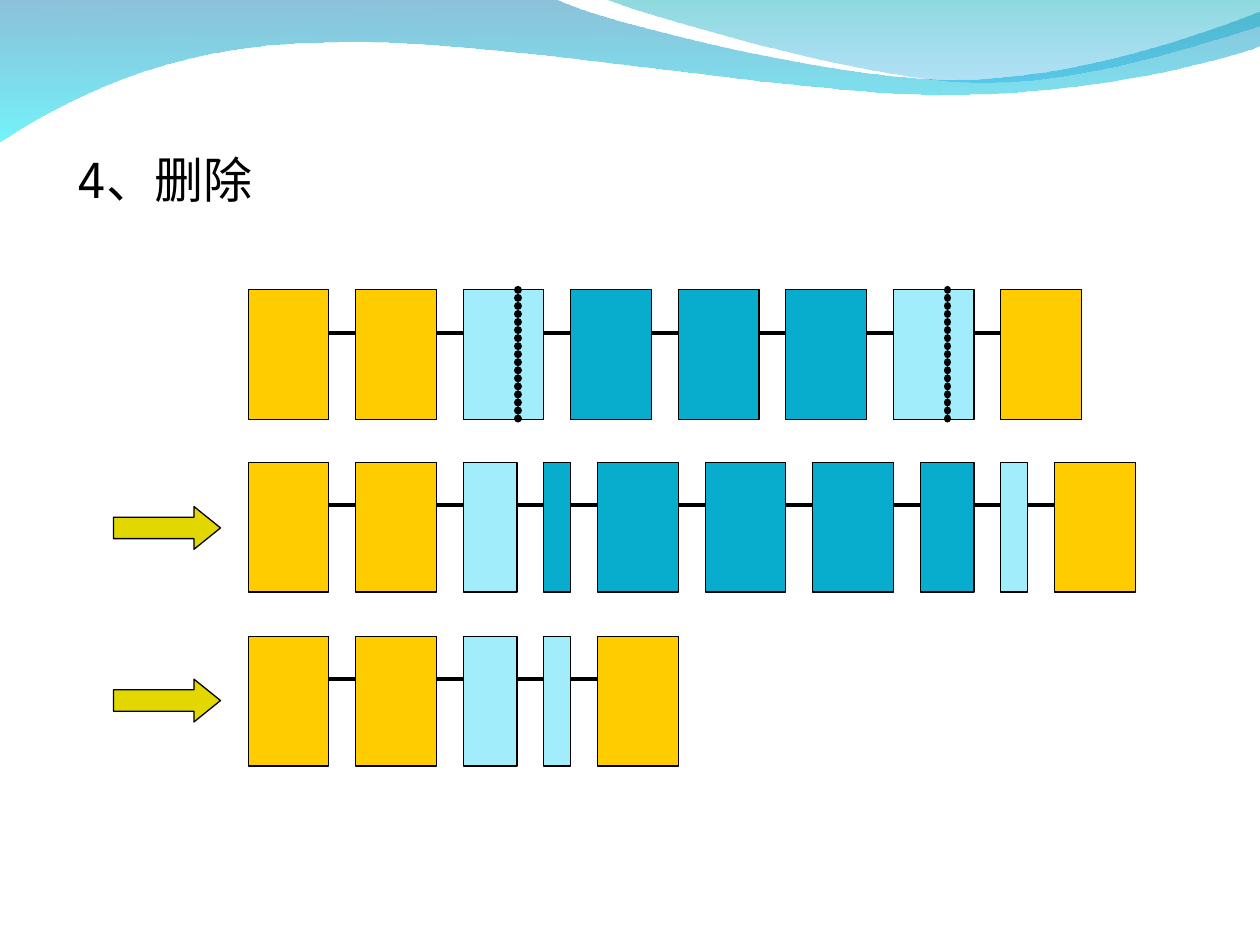
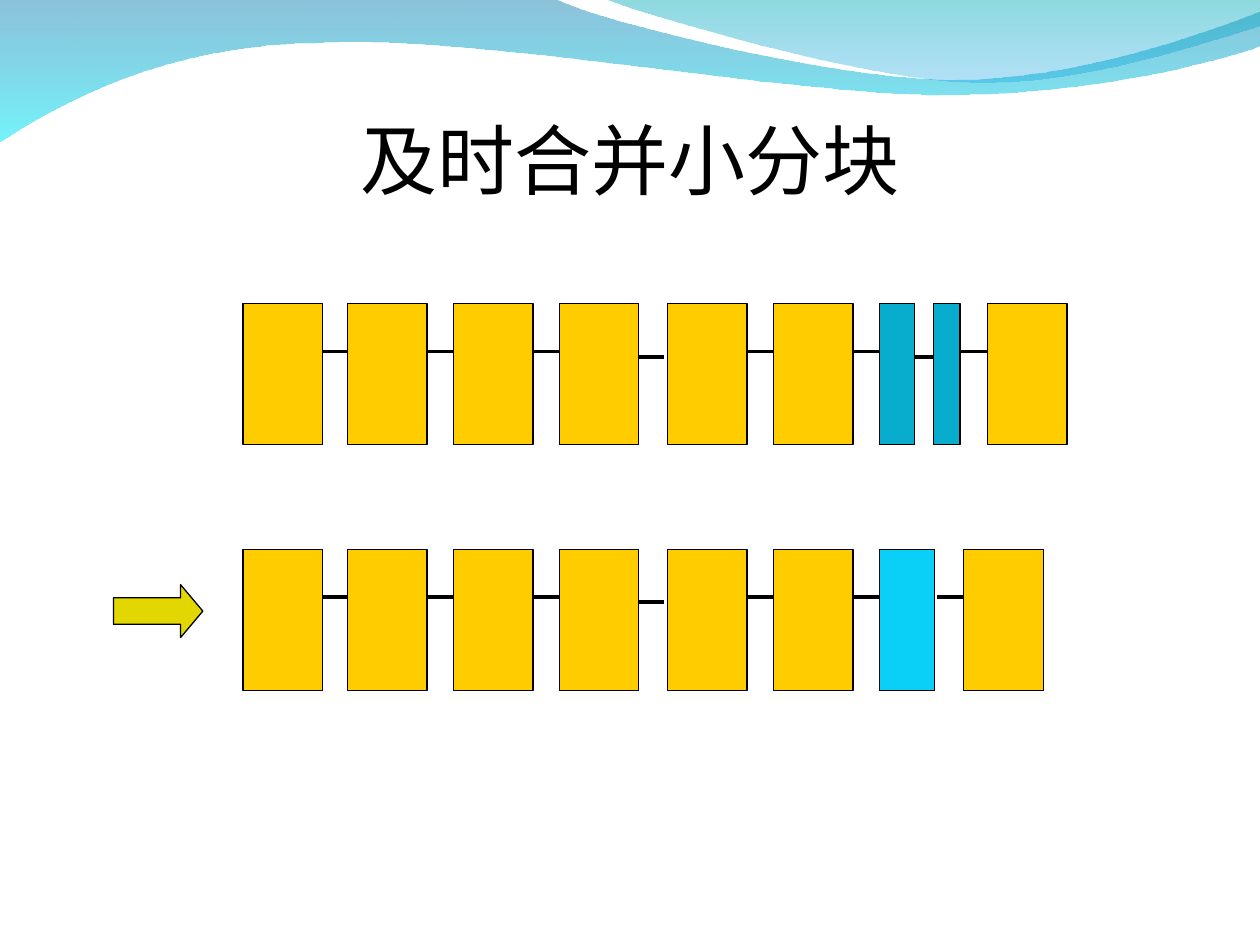
"""Build two slides on deleting and merging blocks in a linked list of blocks."""
import pptx
import pptx.dml.color
import pptx.enum.shapes
import pptx.enum.text
import pptx.oxml
import pptx.oxml.ns
import pptx.util

Inches = pptx.util.Inches
Pt = pptx.util.Pt
PRESET = pptx.enum.shapes.MSO_SHAPE
ALIGN = pptx.enum.text.PP_ALIGN
qn = pptx.oxml.ns.qn
NAMESPACE = pptx.oxml.ns.nsdecls("a")

COLOURS = {
    "ink": "000000",
    "kept": "FFCC00",
    "cut": "08ADCE",
    "partial": "A2EDFC",
    "merged": "0ACFF6",
    "arrow": "E2D700",
    "wave_top": "0079AF",
    "wave_bottom": "00EBF8",
    "crest_top": "00ADB6",
    "crest_bottom": "009BE5",
}
RGB = {name: pptx.dml.color.RGBColor.from_string(code) for name, code in COLOURS.items()}

WAVES = [
    {
        "start": (0, -0.01),
        "segments": [
            (4.4, -0.01),
            (4.76, 0.17, 6.64, 0.63, 7.58, 0.63),
            (8.53, 0.63, 9.58, 0.26, 10, 0.09),
            (10.01, 0.36),
            (9.83, 0.44, 8.7, 0.76, 7.46, 0.75),
            (6.22, 0.75, 3.82, 0.28, 2.57, 0.34),
            (1.29, 0.35, 0.46, 0.83, -0.01, 1.13),
            (0, -0.01),
        ],
        "stops": [("wave_top", 45), ("wave_bottom", 55)],
    },
    {
        "start": (4.79, -0.01),
        "segments": [
            (5.09, 0.11, 6.82, 0.62, 7.69, 0.65),
            (8.56, 0.69, 9.61, 0.32, 10, 0.21),
            (10, 0),
            (4.79, -0.01),
        ],
        "stops": [("crest_top", 45), ("crest_bottom", 30)],
    },
]

UNIT = 0.64 / 3
DELETE_ROWS = [
    (2.3, [("kept", 3), ("kept", 3), ("partial", 3), ("cut", 3), ("cut", 3),
           ("cut", 3), ("partial", 3), ("kept", 3)]),
    (3.67, [("kept", 3), ("kept", 3), ("partial", 2), ("cut", 1), ("cut", 3),
            ("cut", 3), ("cut", 3), ("cut", 2), ("partial", 1), ("kept", 3)]),
    (5.05, [("kept", 3), ("kept", 3), ("partial", 2), ("partial", 1), ("kept", 3)]),
]
rows_by_page = [[], []]
for top, blocks in DELETE_ROWS:
    left, boxes, links = 1.97, [], []
    for colour, units in blocks:
        boxes.append((left, units * UNIT, colour))
        left += (units + 1) * UNIT
        links.append((left - UNIT, 0.34))
    rows_by_page[0].append((top, 1.03, boxes, links[:-1], UNIT))

full_boxes = [(left, 0.63, "kept") for left in (1.93, 2.76, 3.6, 4.44, 5.3, 6.14)]
full_links = [(2.55, 0.38), (3.39, 0.38), (4.23, 0.38), (5.06, 0.42), (5.93, 0.38), (6.77, 0.38)]
MERGE_ROWS = [
    (2.41, [(6.98, 0.28, "cut"), (7.41, 0.21, "cut"), (7.84, 0.63, "kept")],
     [(7.22, 0.42), (7.63, 0.38)]),
    (4.36, [(6.98, 0.44, "merged"), (7.65, 0.63, "kept")], [(7.44, 0.38)]),
]
for top, end_boxes, end_links in MERGE_ROWS:
    rows_by_page[1].append((top, 1.12, full_boxes + end_boxes, full_links + end_links, 0.21))

PAGES = [
    {
        "title": "4、删除",
        "format": {"place": (0.51, 1.14, 3.78, 0.57), "size": 28, "font": "Noto Sans Mono"},
        "rows": rows_by_page[0],
        "arrows": [(0.9, 4.02, 0.85, 0.34, 0.62), (0.9, 5.39, 0.85, 0.34, 0.62)],
        "cuts": [4.11, 7.52],
    },
    {
        "title": "及时合并小分块",
        "format": {"place": (0.59, 0.84, 8.82, 0.84), "size": 44, "font": "Arial",
                   "align": ALIGN.CENTER},
        "rows": rows_by_page[1],
        "arrows": [(0.9, 4.64, 0.71, 0.42, 0.42)],
        "cuts": [],
    },
]


def write_text(page, text, place, size, font, align=ALIGN.LEFT, colour="ink"):
    box = page.shapes.add_textbox(*map(Inches, place))
    frame = box.text_frame
    frame.word_wrap = True
    frame.auto_size = pptx.enum.text.MSO_AUTO_SIZE.SHAPE_TO_FIT_TEXT
    para = frame.paragraphs[0]
    para.alignment = align
    span = para.add_run()
    span.text = text
    span.font.size = Pt(size)
    span.font.name = font
    span.font.color.rgb = RGB[colour]


def draw_line(shapes, start, end, width):
    line = shapes.add_connector(
        pptx.enum.shapes.MSO_CONNECTOR.STRAIGHT, *map(Inches, start + end))
    line.line.color.rgb = RGB["ink"]
    line.line.width = Pt(width)
    line._element.spPr.append(pptx.oxml.parse_xml(f"<a:effectLst {NAMESPACE}/>"))
    return line


deck = pptx.Presentation()
deck.slide_width = Inches(10)
deck.slide_height = Inches(7.5)

for content in PAGES:
    page = deck.slides.add_slide(deck.slide_layouts[6])

    for wave in WAVES:
        points = [(Inches(x), Inches(y)) for segment in wave["segments"]
                  for x, y in zip(segment[::2], segment[1::2])]
        builder = page.shapes.build_freeform(*map(Inches, wave["start"]))
        builder.add_line_segments(points, close=True)
        band = builder.convert_to_shape()
        steps = iter(list(band._element.spPr.iter(qn("a:lnTo"))))
        for segment in wave["segments"]:
            step = next(steps)
            if len(segment) == 6:
                curve = pptx.oxml.parse_xml(f"<a:cubicBezTo {NAMESPACE}/>")
                step.addprevious(curve)
                for corner in (step, next(steps), next(steps)):
                    curve.append(corner[0])
                    corner.getparent().remove(corner)
        band.shadow.inherit = False
        band.line.fill.background()
        band.fill.gradient()
        band.fill.gradient_angle = 270
        for stop, (colour, opacity) in zip(band.fill.gradient_stops, wave["stops"]):
            stop.color.rgb = RGB[colour]
        for tint, (colour, opacity) in zip(band._element.spPr.iter(qn("a:srgbClr")), wave["stops"]):
            tint.append(pptx.oxml.parse_xml(f'<a:alpha {NAMESPACE} val="{opacity * 1000}"/>'))

    write_text(page, content["title"], **content["format"])

    filled = []
    for top, height, boxes, links, link_length in content["rows"]:
        row = page.shapes.add_group_shape().shapes
        for left, drop in links:
            draw_line(row, (left, top + drop), (left + link_length, top + drop), 2.25)
        for left, width, colour in boxes:
            block = row.add_shape(PRESET.RECTANGLE, *map(Inches, (left, top, width, height)))
            filled.append((block, colour))
    for left, top, width, height, head in content["arrows"]:
        arrow = page.shapes.add_shape(
            PRESET.RIGHT_ARROW, *map(Inches, (left, top, width, height)))
        arrow.adjustments[1] = head
        filled.append((arrow, "arrow"))
    for shape, colour in filled:
        shape.shadow.inherit = False
        shape.fill.solid()
        shape.fill.fore_color.rgb = RGB[colour]
        shape.line.color.rgb = RGB["ink"]
        shape.line.width = Pt(0.75)

    for x in content["cuts"]:
        cut = draw_line(page.shapes, (x, 2.3), (x, 3.33), 4.5)
        outline = cut.line._ln
        outline.set("cap", "rnd")
        outline.append(pptx.oxml.parse_xml(
            f'<a:custDash {NAMESPACE}><a:ds d="100000" sp="2000"/></a:custDash>'))

deck.save("out.pptx")
